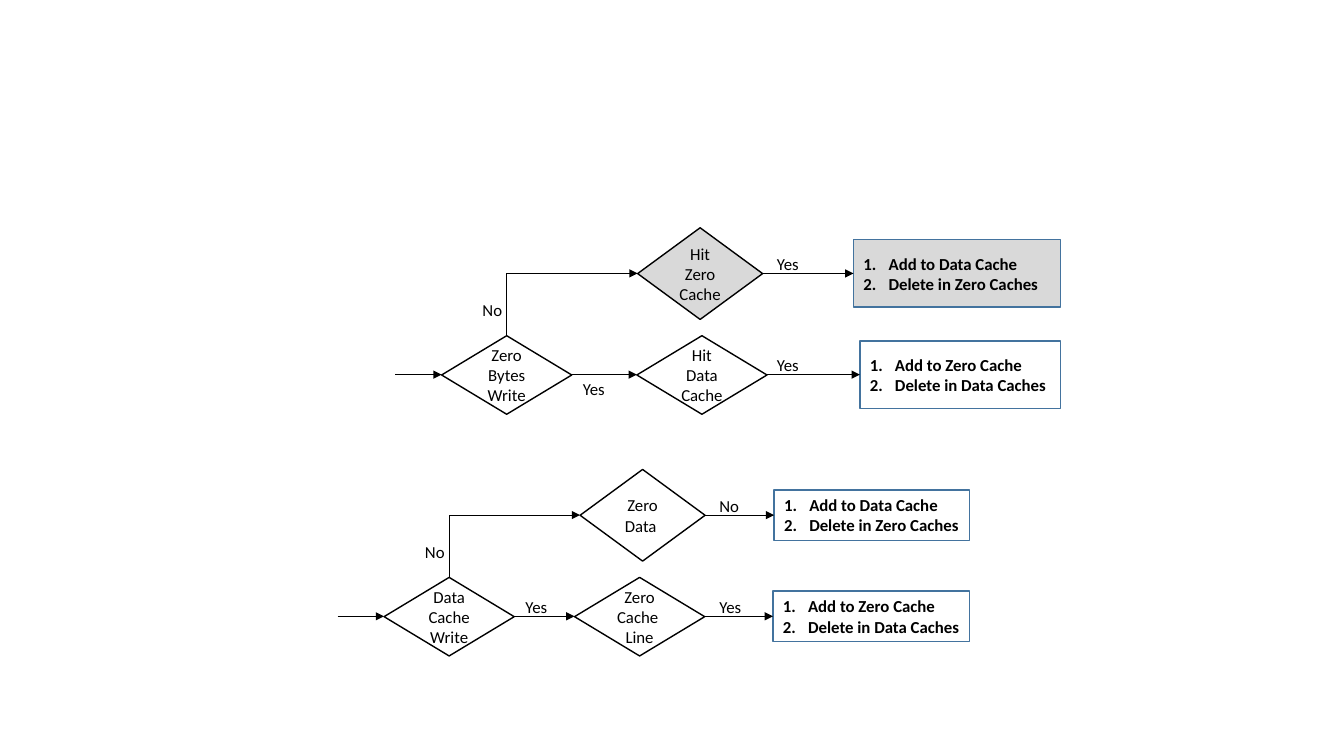
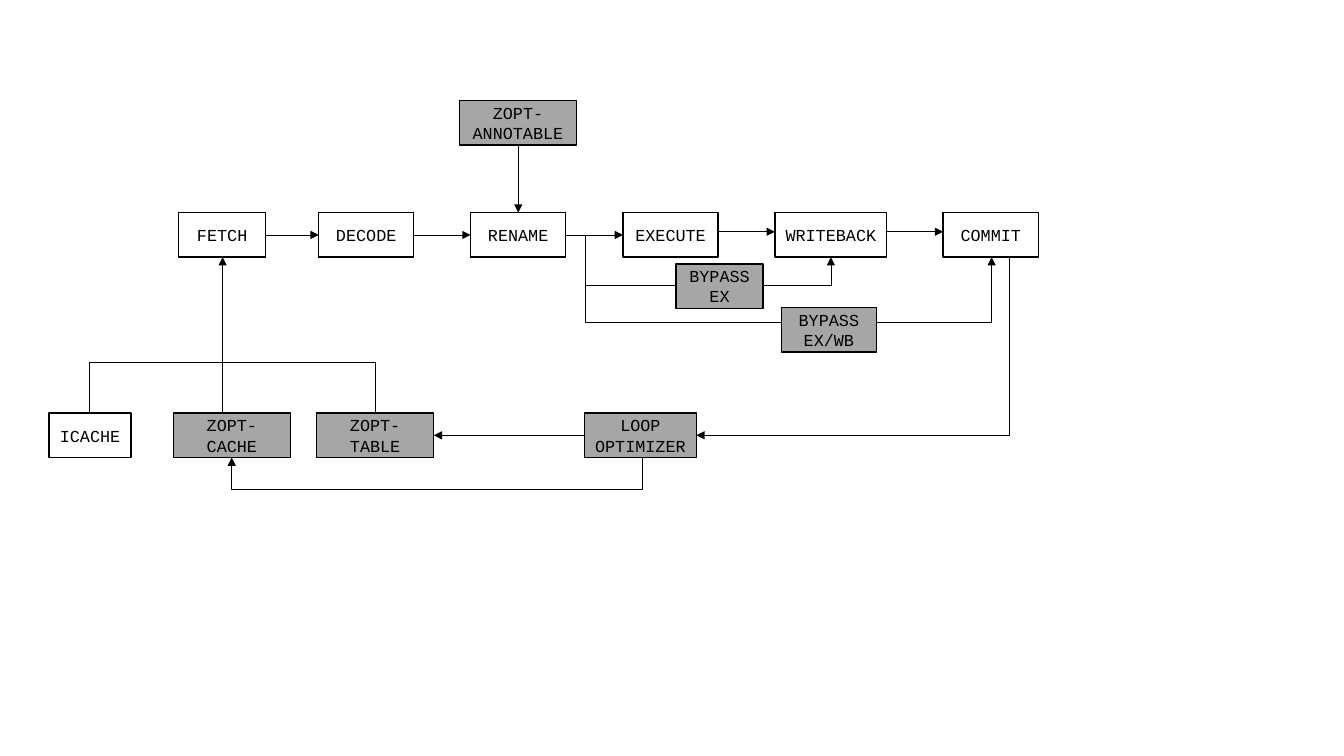
import pptx
import pptx.util
import pptx.dml.color
import pptx.enum.shapes
import pptx.enum.text
import pptx.oxml.ns
import lxml.etree

Cm = pptx.util.Cm
Pt = pptx.util.Pt
Kind = pptx.enum.shapes.MSO_SHAPE
Align = pptx.enum.text.PP_ALIGN
qn = pptx.oxml.ns.qn
HUES = {"ink": "000000", "edge": "43739E", "pale": "D9D9D9", "gray": "A6A6A6"}
TALL, ROW, BASE = 1.12, 5.36, 10.41
FOOT, MID, LOW = ROW + TALL, 5.92, 10.97


def tint(name):
    """Return the named colour."""
    return pptx.dml.color.RGBColor.from_string(HUES[name])


class Deck:
    """Holds the text style and the current slide."""

    def __init__(self):
        """Start a wide presentation."""
        self.prs = pptx.Presentation()
        self.prs.slide_width, self.prs.slide_height = Cm(33.87), Cm(19.05)

    def page(self, face):
        """Start a blank slide that uses one font."""
        self.slide = self.prs.slides.add_slide(self.prs.slide_layouts[6])
        self.font = {"name": face, "size": Pt(12)}

    def words(self, frame, lines, align=Align.LEFT, bold=None, count=False):
        """Fill a text frame with one paragraph per line."""
        frame.word_wrap = True
        frame.text = "\n".join(lines)
        for para in frame.paragraphs:
            para.alignment = align
            for key, value in {**self.font, "bold": bold}.items():
                setattr(para.font, key, value)
            para.font.color.rgb = tint("ink")
            if count:
                props = para._p.get_or_add_pPr()
                for key, value in {"marL": Cm(0.635), "indent": Cm(-0.635)}.items():
                    props.set(key, str(int(value)))
                mark = lxml.etree.Element(qn("a:buAutoNum"), type="arabicPeriod")
                props.insert(0, mark)

    def node(self, kind, x, y, w, h, lines, fill=None, edge="ink", **style):
        """Draw an outlined shape with text in its middle."""
        shape = self.slide.shapes.add_shape(kind, Cm(x), Cm(y), Cm(w), Cm(h))
        shape.shadow.inherit = False
        if fill:
            shape.fill.solid()
            shape.fill.fore_color.rgb = tint(fill)
        else:
            shape.fill.background()
        shape.line.color.rgb = tint(edge)
        shape.line.width = Pt(1)
        shape.text_frame.vertical_anchor = pptx.enum.text.MSO_ANCHOR.MIDDLE
        self.words(shape.text_frame, lines, **{"align": Align.CENTER, **style})

    def test(self, x, y, w, h, lines, fill=None):
        """Draw a decision diamond."""
        self.node(Kind.FLOWCHART_DECISION, x, y, w, h, lines, fill)

    def steps(self, x, y, w, h, lines, fill=None):
        """Draw a box with a numbered list."""
        self.node(Kind.FLOWCHART_PROCESS, x, y, w, h, lines, fill, "edge",
                  align=Align.LEFT, bold=True, count=True)

    def block(self, x, y, w, lines, fill=None):
        """Draw a pipeline block."""
        self.node(Kind.RECTANGLE, x, y, w, TALL, lines, fill)

    def label(self, x, y, text):
        """Put a short word beside a line."""
        box = self.slide.shapes.add_textbox(Cm(x), Cm(y), Cm(1.12), Cm(0.76))
        self.words(box.text_frame, [text])

    def link(self, *spots, tip=True):
        """Draw a straight or bent line, with an arrowhead if tip is set."""
        spots = [(Cm(x), Cm(y)) for x, y in spots]
        if len(spots) == 2:
            straight = pptx.enum.shapes.MSO_CONNECTOR.STRAIGHT
            line = self.slide.shapes.add_connector(straight, *spots[0], *spots[1])
        else:
            pen = self.slide.shapes.build_freeform(*spots[0])
            pen.add_line_segments(spots[1:], close=False)
            line = pen.convert_to_shape()
            line.fill.background()
        line.line.color.rgb = tint("ink")
        line.line.width = Pt(0.5)
        props = line._element.spPr
        if tip:
            lxml.etree.SubElement(props.find(qn("a:ln")), qn("a:tailEnd"), type="triangle")
        lxml.etree.SubElement(props, qn("a:effectLst"))


def flow(deck, x, y, tests, labels, drop, boxes, tall, fill=None):
    """Draw a decision with a branch above and a branch beside it."""
    first, above, beside = tests
    high, mid = y - 1.57, y + 0.98
    upper, lower, aside, right = boxes
    top, side = x + 4.94, x + aside
    deck.test(x, y, 3.28, 1.98, first)
    deck.test(top, y - 2.72, 3.15, 2.31, above, fill)
    deck.test(side, y, 3.28, 1.98, beside)
    deck.link((x - 1.17, mid), (x, mid))
    deck.link((x + 1.64, y), (x + 1.64, high), (top, high))
    deck.link((x + 3.28, mid), (side, mid))
    spots = [(0.78, -1.02), (3.31, drop), (8.2, -2.19), (8.2, 0.35)]
    for (dx, dy), text in zip(spots, labels):
        deck.label(x + dx, y + dy, text)
    for to, out, level, start, dx, shade in [
        ("Data", "Zero", high, top + 3.15, upper, fill),
        ("Zero", "Data", mid, side + 3.28, lower, None),
    ]:
        lines = [f"Add to {to} Cache", f"Delete in {out} Caches "]
        deck.steps(x + dx, level - tall / 2, right - dx, tall, lines, shade)
        deck.link((start, level), (x + dx, level))


deck = Deck()

deck.page("Calibri")
flow(deck, 11.13, 8.46, [["Zero Bytes", "Write"], ["Hit Zero Cache"], ["Hit Data Cache"]],
     ["No", "Yes", "Yes", "Yes"], 0.96, [10.38, 10.54, 4.92, 15.59], 1.7, "pale")
flow(deck, 9.68, 14.55, [["Data", "Cache", "Write"], ["Zero Data "], ["Zero Cache ", "Line"]],
     ["No", "Yes", "No", "Yes"], 0.36, [9.83, 9.8, 4.8, 14.76], 1.27)

deck.page("Courier New")
stages = [("FETCH", 4.5, 2.2), ("DECODE", 8.03, 2.4), ("RENAME", 11.86, 2.4),
          ("EXECUTE", 15.7, 2.4), ("WRITEBACK", 19.53, 2.82), ("COMMIT", 23.77, 2.4)]
for name, x, w in stages:
    deck.block(x, ROW, w, [name])
for (name, x, w), (_, end, _) in zip(stages, stages[1:]):
    level = 5.84 if name in ("EXECUTE", "WRITEBACK") else MID
    deck.link((x + w, level), (end, level))

for level, end in [(7.19, 20.94), (8.13, 24.99)]:
    deck.link((14.26, MID), (14.76, MID), (14.76, level), (end, level), (end, FOOT))
deck.link((25.7, FOOT), (25.43, FOOT), (25.43, LOW), (17.55, LOW))
deck.link((16.18, BASE + TALL), (16.18, 12.32), (5.84, 12.32), (5.84, BASE + TALL))
for start in (2.26, 9.45):
    deck.link((start, BASE), (start, 9.12), (5.61, 9.12), tip=False)
deck.link((5.61, BASE), (5.61, FOOT))
deck.link((14.73, LOW), (10.93, LOW))
deck.link((13.06, 2.54 + TALL), (13.06, ROW))

deck.block(1.24, BASE, 2.06, ["ICACHE"])
for x, y, w, lines in [
    (11.58, 2.54, 2.95, ["ZOPT-ANNOTABLE"]),
    (17.04, 6.65, 2.19, ["BYPASS EX"]),
    (19.69, 7.75, 2.4, ["BYPASS", "EX/WB"]),
    (4.37, BASE, 2.95, ["ZOPT-CACHE"]),
    (7.98, BASE, 2.95, ["ZOPT-TABLE"]),
    (14.73, BASE, 2.82, ["LOOP OPTIMIZER"]),
]:
    deck.block(x, y, w, lines, "gray")

deck.prs.save("out.pptx")
